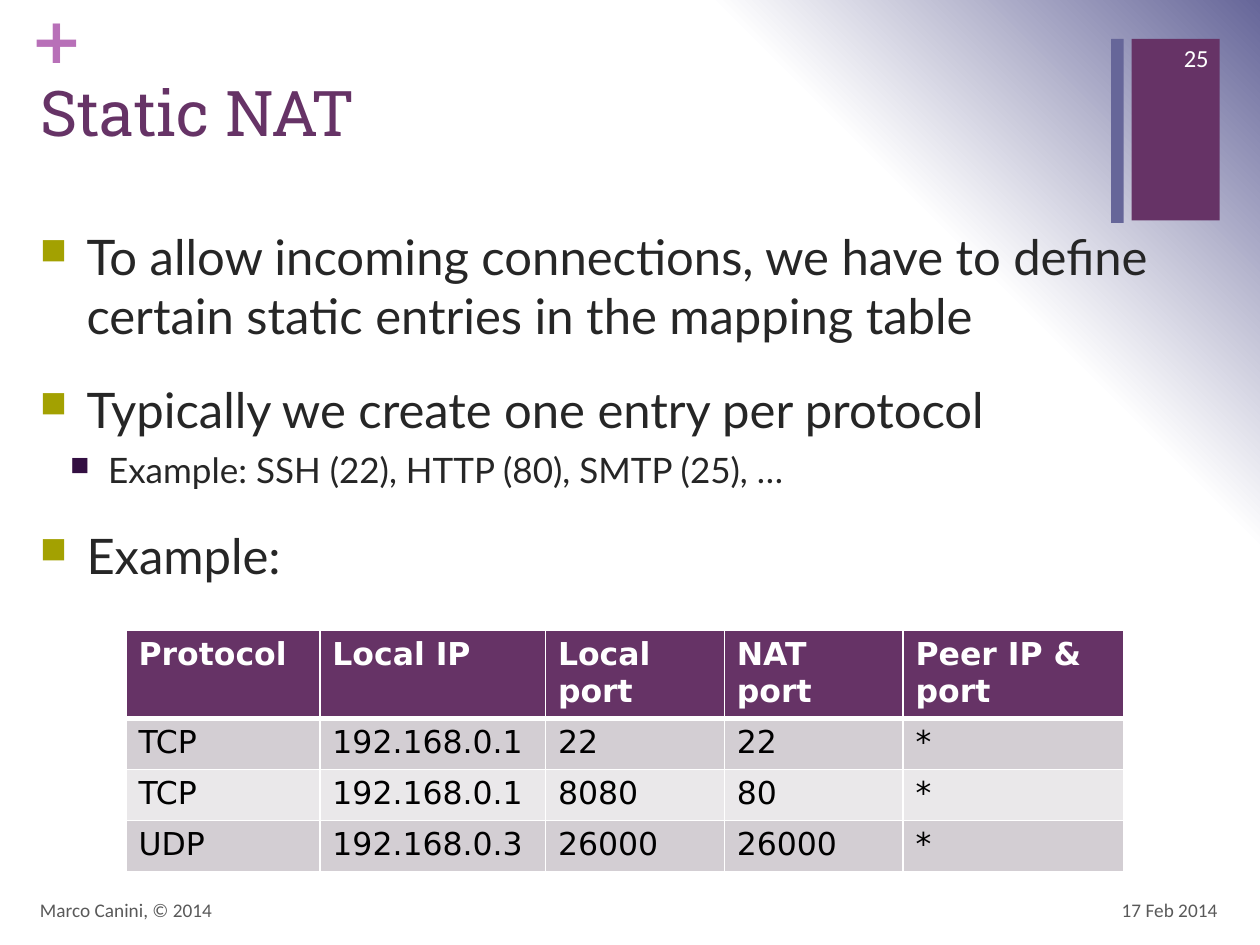
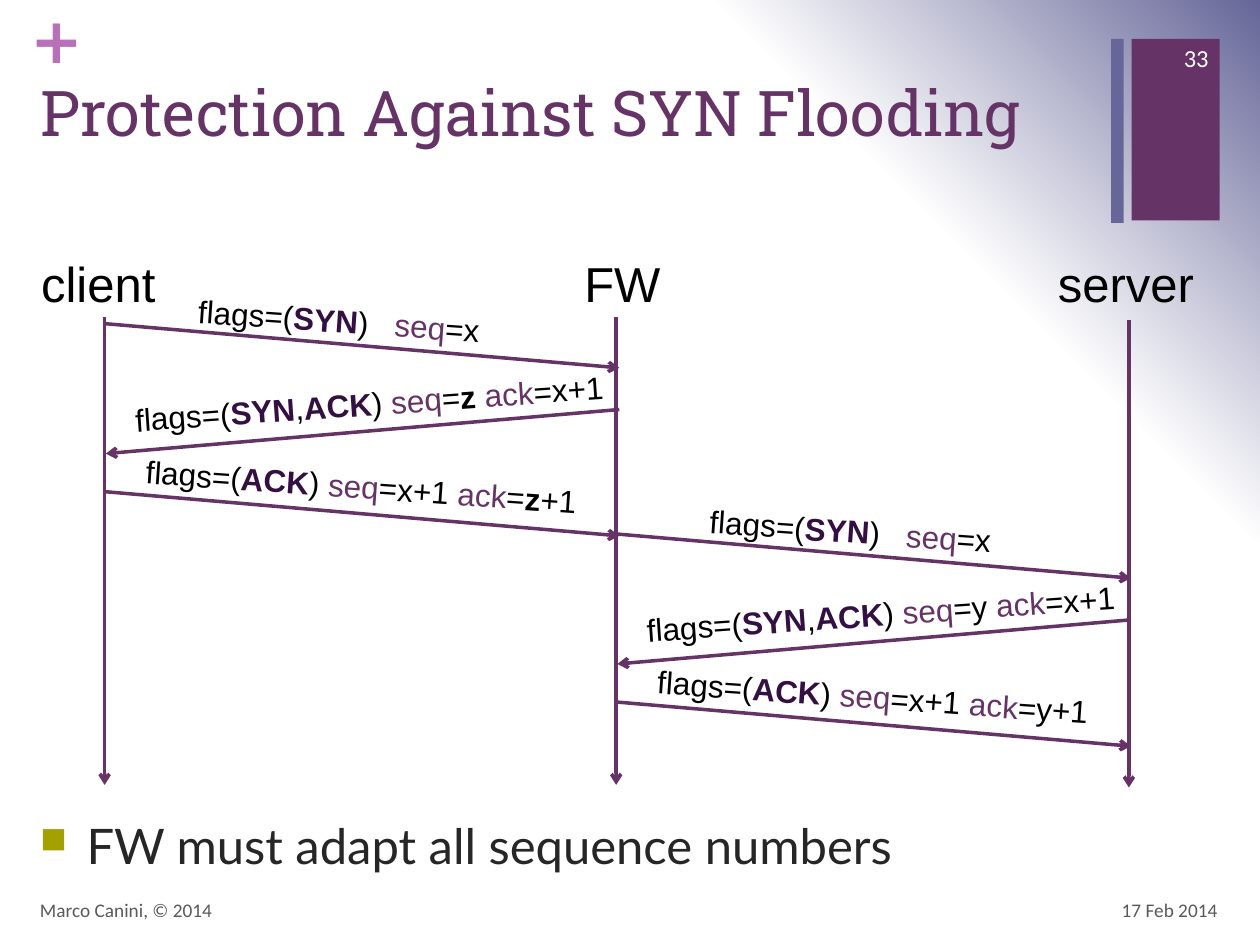
from pptx import Presentation
from pptx.dml.color import RGBColor
from pptx.enum.shapes import MSO_CONNECTOR, MSO_SHAPE
from pptx.enum.text import MSO_ANCHOR, MSO_AUTO_SIZE, PP_ALIGN
from pptx.oxml import parse_xml
from pptx.oxml.ns import nsdecls, qn
from pptx.oxml.xmlchemy import OxmlElement
from pptx.util import Pt

LEFT, CENTER, RIGHT = PP_ALIGN.LEFT, PP_ALIGN.CENTER, PP_ALIGN.RIGHT
TOP, MIDDLE = MSO_ANCHOR.TOP, MSO_ANCHOR.MIDDLE
NO_AUTOFIT = MSO_AUTO_SIZE.NONE
RECTANGLE, STRAIGHT = MSO_SHAPE.RECTANGLE, MSO_CONNECTOR.STRAIGHT
TITLE_ONLY = 5

PURPLE = RGBColor(0x66, 0x33, 0x66)
SLATE = RGBColor(0x66, 0x66, 0x99)
ORCHID = RGBColor(0xB8, 0x70, 0xB8)
OLIVE = RGBColor(0xA3, 0xA1, 0x01)
DARK_PLUM = RGBColor(0x33, 0x0F, 0x42)
CHARCOAL = RGBColor(0x26, 0x26, 0x26)
GRAY = RGBColor(0x59, 0x59, 0x59)
BAND_DARK = RGBColor(0xD3, 0xCE, 0xD3)
BAND_LIGHT = RGBColor(0xEA, 0xE8, 0xEA)
WHITE = RGBColor(0xFF, 0xFF, 0xFF)
BLACK = RGBColor(0, 0, 0)

AUTHOR = "Marco Canini, © 2014"
DATE = "17 Feb 2014"

NAT_TITLE = "Static NAT"
NAT_BULLETS = [
    (0, "To allow incoming connections, we have to define certain static entries in the mapping table"),
    (0, "Typically we create one entry per protocol"),
    (1, "Example: SSH (22), HTTP (80), SMTP (25), …"),
    (0, "Example:"),
]
NAT_TABLE = [
    ["Protocol", "Local IP", "Local port", "NAT port", "Peer IP & port"],
    ["TCP", "192.168.0.1", "22", "22", "*"],
    ["TCP", "192.168.0.1", "8080", "80", "*"],
    ["UDP", "192.168.0.3", "26000", "26000", "*"],
]
COLUMN_WIDTHS = [110.8, 128.9, 102.2, 102.2, 126]
ROW_HEIGHT = 29.2

FLOOD_TITLE = "Protection Against SYN Flooding"
FLOOD_BULLETS = [(0, "FW must adapt all sequence numbers")]
HOSTS = [
    ("client", 3.6, 105.1, 59.8, 181.4),
    ("FW", 303.1, 105.1, 352.1, 181.4),
    ("server", 581.8, 123.1, 645.1, 182.9),
]
LIFELINE_LENGTH = 267.1

SYN = [("flags=(", "plain"), ("SYN", "flag"), (") ", "wide"), ("seq", "field"), ("=x", "plain")]
SYN_ACK = [("flags=(", "plain"), ("SYN", "flag"), (",", "plain"), ("ACK", "flag"),
           (") ", "plain"), ("seq", "field")]
ACK = [("flags=(", "plain"), ("ACK", "flag"), (") ", "plain"), ("seq", "field"),
       ("=x+1 ", "plain"), ("ack", "field")]
ACK_X = [("ack", "field"), ("=x+1", "plain")]
EXCHANGES = [
    (60.5, 185, [
        SYN,
        SYN_ACK + [("=", "plain"), ("z ", "bold")] + ACK_X,
        ACK + [("=", "plain"), ("z", "bold"), ("+1", "plain")],
    ]),
    (352.8, 305.2, [
        SYN,
        SYN_ACK + [("=y ", "plain")] + ACK_X,
        ACK + [("=y+1", "plain")],
    ]),
]
MESSAGE_SLOTS = [
    (0, True, 28.8, -16.3, 208.8),
    (49, False, -18, -18, 337),
    (96, True, -14.6, -17.6, 321.1),
]
MESSAGE_SPAN, MESSAGE_DROP, MESSAGE_TILT = 293.4, 25.2, 4
RUN_STYLES = {
    "plain": (BLACK, False),
    "wide": (BLACK, False),
    "flag": (DARK_PLUM, True),
    "field": (PURPLE, False),
    "bold": (BLACK, True),
}
WIDE_SPACING = 500

BULLET_STYLES = [
    (26.6, -26.6, 20, OLIVE, 28),
    (38.9, -21.6, 6, DARK_PLUM, 20),
]


def add_run(paragraph, text, size, font_name, color, bold=False):
    run = paragraph.add_run()
    run.text = text
    run.font.size = Pt(size)
    run.font.name = font_name
    run.font.color.rgb = color
    run.font.bold = bold
    return run


def add_textbox(slide, left, top, width, height, align=LEFT, anchor=TOP):
    shape = slide.shapes.add_textbox(Pt(left), Pt(top), Pt(width), Pt(height))
    frame = shape.text_frame
    frame.word_wrap = True
    frame.vertical_anchor = anchor
    frame.paragraphs[0].alignment = align
    return shape


def add_label(slide, text, box, size, font_name, color, align=LEFT, anchor=TOP, bold=False):
    shape = add_textbox(slide, *box, align, anchor)
    add_run(shape.text_frame.paragraphs[0], text, size, font_name, color, bold)
    return shape


def add_band(slide, left, width, height, color):
    band = slide.shapes.add_shape(RECTANGLE, Pt(left), Pt(22.3), Pt(width), Pt(height))
    band.shadow.inherit = False
    band.fill.solid()
    band.fill.fore_color.rgb = color
    band.line.fill.background()


def add_arrow(slide, start, end):
    arrow = slide.shapes.add_connector(STRAIGHT, *[Pt(value) for value in (*start, *end)])
    arrow.line.color.rgb = PURPLE
    arrow.line.width = Pt(2)
    tail = OxmlElement("a:tailEnd")
    tail.set("type", "arrow")
    arrow.line._get_or_add_ln().append(tail)
    arrow.element.spPr.append(OxmlElement("a:effectLst"))


def set_bullet(paragraph, margin, indent, color):
    properties = paragraph._p.get_or_add_pPr()
    properties.set("marL", str(Pt(margin)))
    properties.set("indent", str(Pt(indent)))
    for xml in (
        f'<a:buClr {nsdecls("a")}><a:srgbClr val="{color}"/></a:buClr>',
        f'<a:buSzPct {nsdecls("a")} val="75000"/>',
        f'<a:buChar {nsdecls("a")} char="■"/>',
    ):
        properties.append(parse_xml(xml))


def add_bullets(slide, bullets, top, height):
    frame = add_textbox(slide, 15.8, top, 686.9, height).text_frame
    for index, (level, text) in enumerate(bullets):
        margin, indent, space, color, size = BULLET_STYLES[level]
        paragraph = frame.add_paragraph() if index else frame.paragraphs[0]
        set_bullet(paragraph, margin, indent, color)
        paragraph.space_before = Pt(space if index else 0)
        add_run(paragraph, text, size, "Lato", CHARCOAL)


def set_background(presentation):
    master = presentation.slide_master
    master.background.fill.gradient()
    gradient = master.element.find(".//" + qn("p:bg")).find(".//" + qn("a:gradFill"))
    stops = "".join(
        f'<a:gs pos="{position * 1000}"><a:srgbClr val="{color}"/></a:gs>'
        for position, color in ((0, WHITE), (75, WHITE), (100, SLATE)))
    gradient.getparent().replace(gradient, parse_xml(
        f'<a:gradFill {nsdecls("a")} rotWithShape="1"><a:gsLst>{stops}</a:gsLst>'
        '<a:path path="circle"><a:fillToRect l="0" t="100000" r="100000" b="0"/></a:path>'
        '</a:gradFill>'))


def add_base_slide(presentation, title_text, number):
    slide = presentation.slides.add_slide(presentation.slide_layouts[TITLE_ONLY])
    add_band(slide, 646.6, 50.4, 103.7, PURPLE)
    add_band(slide, 635, 7.2, 105.1, SLATE)
    plus = add_label(slide, "+", (17.3, 0, 20.9, 43.9), 36, "DejaVu Sans", ORCHID, bold=True)
    frame = plus.text_frame
    frame.margin_left = frame.margin_right = frame.margin_top = frame.margin_bottom = 0

    title = slide.shapes.title
    title.left, title.top, title.width, title.height = Pt(15.8), Pt(38.2), Pt(618.5), Pt(87.8)
    title.text_frame.auto_size = NO_AUTOFIT
    title.text_frame.vertical_anchor = TOP
    paragraph = title.text_frame.paragraphs[0]
    paragraph.alignment = LEFT
    add_run(paragraph, title_text, 36, "Roboto Slab", PURPLE)

    add_label(slide, DATE, (535, 505.4, 167.8, 28.8), 11, "Calibri", GRAY, RIGHT, MIDDLE)
    add_label(slide, AUTHOR, (15.8, 505.4, 482.4, 28.8), 11, "Calibri", GRAY, LEFT, MIDDLE)
    add_label(slide, number, (653.8, 18.7, 43.9, 28.8), 14, "Calibri", WHITE, RIGHT, MIDDLE)
    return slide


def set_borders(cell, top, bottom):
    properties = cell._tc.get_or_add_tcPr()
    for side, width in (("L", 1), ("R", 1), ("T", top), ("B", bottom)):
        properties.append(parse_xml(
            f'<a:ln{side} {nsdecls("a")} w="{Pt(width)}"><a:solidFill>'
            f'<a:srgbClr val="{WHITE}"/></a:solidFill></a:ln{side}>'))


def add_nat_table(slide):
    table = slide.shapes.add_table(
        len(NAT_TABLE), len(COLUMN_WIDTHS), Pt(72), Pt(360),
        Pt(sum(COLUMN_WIDTHS)), Pt(ROW_HEIGHT * len(NAT_TABLE))).table
    table.horz_banding = False
    for column, width in zip(table.columns, COLUMN_WIDTHS):
        column.width = Pt(width)
    for row_index, values in enumerate(NAT_TABLE):
        table.rows[row_index].height = Pt(ROW_HEIGHT)
        header = row_index == 0
        fill = PURPLE if header else (BAND_LIGHT, BAND_DARK)[row_index % 2]
        for column_index, text in enumerate(values):
            cell = table.cell(row_index, column_index)
            set_borders(cell, 3 if row_index == 1 else 1, 3 if header else 1)
            cell.fill.solid()
            cell.fill.fore_color.rgb = fill
            add_run(cell.text_frame.paragraphs[0], text, 18, "DejaVu Sans",
                    WHITE if header else BLACK, header)


def add_message(slide, left, top, segments, slot):
    offset, rightward, label_x, label_y, label_width = slot
    top += offset
    right, bottom = left + MESSAGE_SPAN, top + MESSAGE_DROP
    if rightward:
        add_arrow(slide, (left, top), (right, bottom))
    else:
        add_arrow(slide, (right, top), (left, bottom))
    label = add_textbox(slide, left + label_x, top + label_y, label_width, 28.8, CENTER)
    label.rotation = MESSAGE_TILT if rightward else 360 - MESSAGE_TILT
    for text, style in segments:
        run = add_run(label.text_frame.paragraphs[0], text, 18, "Arial", *RUN_STYLES[style])
        if style == "wide":
            run._r.get_or_add_rPr().set("spc", str(WIDE_SPACING))


def main():
    presentation = Presentation()
    presentation.slide_width, presentation.slide_height = Pt(720), Pt(540)
    set_background(presentation)

    nat_slide = add_base_slide(presentation, NAT_TITLE, "25")
    add_bullets(nat_slide, NAT_BULLETS, 126, 379.4)
    add_nat_table(nat_slide)

    flood_slide = add_base_slide(presentation, FLOOD_TITLE, "33")
    add_bullets(flood_slide, FLOOD_BULLETS, 462.2, 43.9)
    for name, left, width, line_x, line_top in HOSTS:
        add_label(flood_slide, name, (left, 141.1, width, 41), 28, "Arial", BLACK, CENTER)
        add_arrow(flood_slide, (line_x, line_top), (line_x, line_top + LIFELINE_LENGTH))
    for left, top, messages in EXCHANGES:
        for segments, slot in zip(messages, MESSAGE_SLOTS):
            add_message(flood_slide, left, top, segments, slot)

    presentation.save("out.pptx")


if __name__ == "__main__":
    main()
